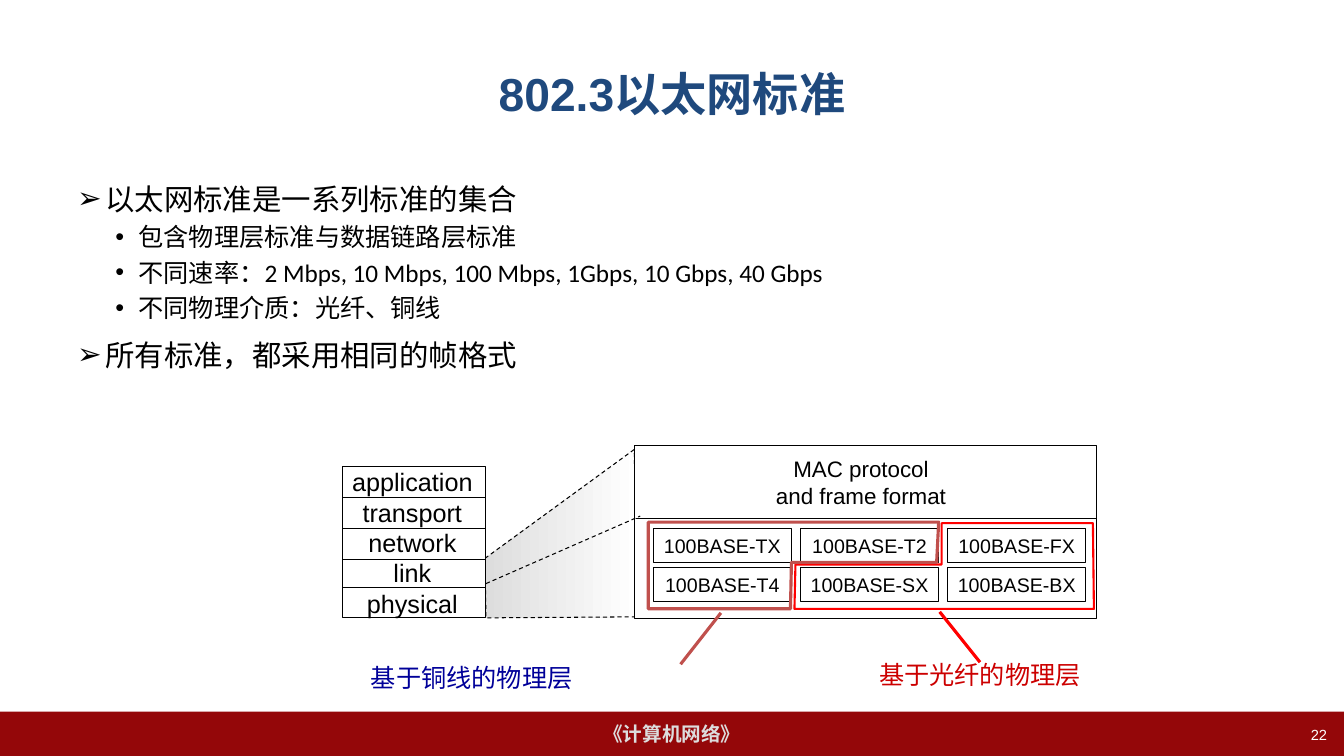
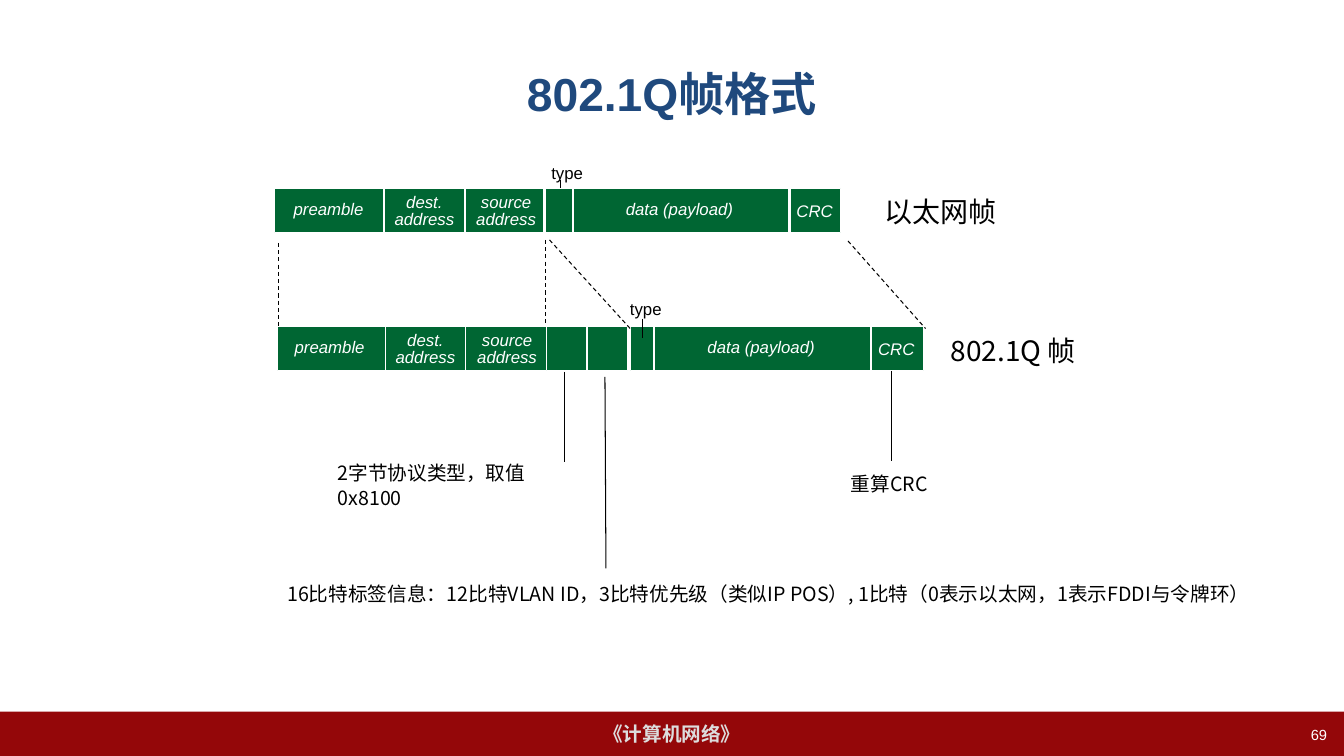
from lxml import etree
from pptx import Presentation
from pptx.dml.color import RGBColor
from pptx.enum.dml import MSO_LINE
from pptx.enum.shapes import MSO_CONNECTOR, MSO_SHAPE
from pptx.enum.text import MSO_ANCHOR, PP_ALIGN
from pptx.oxml.ns import qn
from pptx.util import Inches, Pt

W, H = 13.33, 7.5
LEFT, MID, RIGHT = PP_ALIGN.LEFT, PP_ALIGN.CENTER, PP_ALIGN.RIGHT
CENTER = MSO_ANCHOR.MIDDLE
TOP = MSO_ANCHOR.TOP
DASH = MSO_LINE.DASH
STRAIGHT = MSO_CONNECTOR.STRAIGHT
RECT = MSO_SHAPE.RECTANGLE

LATIN, CJK, BODY = "Arial", "Noto Sans CJK SC", "Calibri"
BLACK, WHITE, NAVY = "000000", "FFFFFF", "1F497D"
WINE, PALE, GREEN = "940709", "DDDDDD", "006633"
BRICK, RED = "C0504D", "FF0000"


def rgb(code):
    return RGBColor.from_string(code)


def write(frame, lines, size=14, font=LATIN, color=BLACK, bold=False,
          italic=False, align=LEFT, anchor=CENTER, pad=0.1, lead=None):
    """Fill a text frame; a line is a string or a list of (text, font) runs."""
    frame.word_wrap = True
    frame.vertical_anchor = anchor
    frame.margin_left = frame.margin_right = Inches(pad)
    frame.margin_top = frame.margin_bottom = Inches(pad / 2)
    for i, line in enumerate([lines] if isinstance(lines, str) else lines):
        para = frame.add_paragraph() if i else frame.paragraphs[0]
        para.alignment = align
        if lead:
            para.line_spacing = Pt(lead)
        for words, face in [(line, font)] if isinstance(line, str) else line:
            run = para.add_run()
            run.text = words
            look = run.font
            look.size, look.bold, look.italic = Pt(size), bold, italic
            look.color.rgb, look.name = rgb(color), face
            east = etree.SubElement(run._r.get_or_add_rPr(), qn("a:ea"))
            east.set("typeface", CJK)


def label(slide, box, lines, **style):
    shape = slide.shapes.add_textbox(*map(Inches, box))
    write(shape.text_frame, lines, **style)
    return shape


def stroke(shape, color, width, dash=None):
    shape.line.color.rgb = rgb(color)
    shape.line.width = Pt(width)
    if dash:
        shape.line.dash_style = dash


def block(slide, box, lines="", fill=WHITE, edge=BLACK, width=0.75, **style):
    """Draw a rectangle with centred text."""
    shape = slide.shapes.add_shape(RECT, *map(Inches, box))
    shape.shadow.inherit = False
    if fill:
        shape.fill.solid()
        shape.fill.fore_color.rgb = rgb(fill)
    else:
        shape.fill.background()
    if edge:
        stroke(shape, edge, width)
    else:
        shape.line.fill.background()
    if lines:
        write(shape.text_frame, lines, align=MID, pad=0, **style)


def wire(slide, start, end, color=BLACK, width=0.75, dash=None):
    line = slide.shapes.add_connector(
        STRAIGHT, *map(Inches, (*start, *end)))
    stroke(line, color, width, dash)
    etree.SubElement(line._element.spPr, qn("a:effectLst"))


def outline(slide, points, color, width, dash=None):
    """Draw a closed polygon without fill."""
    spots = [(Inches(x), Inches(y)) for x, y in points]
    pen = slide.shapes.build_freeform(*spots[0])
    pen.add_line_segments(spots[1:], close=True)
    shape = pen.convert_to_shape()
    shape.shadow.inherit = False
    shape.fill.background()
    stroke(shape, color, width, dash)
    return shape


def page(deck, title, number):
    """Add a slide with the shared title, band and page number."""
    slide = deck.slides.add_slide(deck.slide_layouts[5])
    head = slide.shapes.title
    head.left, head.top = Inches(0.05 * W), Inches(0.04 * H)
    head.width, head.height = Inches(0.9 * W), Inches(1.25)
    write(head.text_frame, title, size=33, color=NAVY, bold=True, align=MID)
    top = H - 0.44
    block(slide, (0, top, W, 0.44), "《计算机网络》", fill=WINE, edge=None,
          color=PALE, bold=True)
    label(slide, (W - 3.18, top + 0.09, 3.11, 0.28), number, size=10.5,
          color=WHITE, align=RIGHT)
    return slide


def points(slide, box, items):
    """Place a bulleted list of (level, line) items."""
    marks = [("➢", 0.28, 0.28, 21, 25, 10.5), ("•", 0.61, 0.23, 18, 22, 3.3)]
    frame = label(slide, box, [line for _, line in items],
                  anchor=TOP).text_frame
    for i, (para, (level, _)) in enumerate(zip(frame.paragraphs, items)):
        mark, left, hang, size, lead, gap = marks[level]
        props = para._p.get_or_add_pPr()
        props.set("marL", str(Inches(left)))
        props.set("indent", str(-Inches(hang)))
        etree.SubElement(props, qn("a:buFont")).set("typeface", LATIN)
        etree.SubElement(props, qn("a:buChar")).set("char", mark)
        para.level = level
        para.line_spacing = Pt(lead)
        if i:
            para.space_before = Pt(gap)
        for run in para.runs:
            run.font.size = Pt(size)


def stack(slide, x, y, names, width=1.42, height=1.5):
    """Draw the protocol layers as one box with dividers."""
    block(slide, (x, y, width, height))
    label(slide, (x - 0.01, y - 0.05, 1.4, 1.6), names, size=18, align=MID,
          pad=0, lead=21.7)
    for cut in (0.31, 0.61, 0.92, 1.2):
        wire(slide, (x, y + cut), (x + width, y + cut))
    for side in (x, x + width):
        wire(slide, (side, y + 1.27), (side, y + 1.46), dash=DASH)


def fan(slide, x, y):
    """Shade the zoom from the lower layers to the detail box."""
    shape = outline(slide, [(x + 1.48, y), (x, y + 1.08), (x + 0.01, y + 1.67),
                            (x + 1.52, y + 1.66)], BLACK, 0.75, DASH)
    shape.fill.gradient()
    shape.fill.gradient_angle = 0
    for stop, color, place in zip(shape.fill.gradient_stops,
                                  (PALE, WHITE), (0, 1)):
        stop.color.rgb = rgb(color)
        stop.position = place


def detail(slide, x, y, width=4.59):
    """Draw the MAC box over the grid of physical layers."""
    block(slide, (x, y, width, 1.72))
    wire(slide, (x + 0.02, y + 0.72), (x + width, y + 0.72))
    label(slide, (x + 1.3, y + 0.04, 1.9, 0.64),
          ["MAC protocol", "and frame format"], size=16, align=MID, pad=0)
    wire(slide, (x - 1.47, y + 1.37), (x + 0.06, y + 0.7), dash=DASH)
    kinds = ["TX", "T2", "FX", "T4", "SX", "BX"]
    for i, kind in enumerate(kinds):
        row, col = divmod(i, 3)
        block(slide, (x + 0.19 + col * 1.46, y + 0.82 + row * 0.39, 1.37, 0.34),
              "100BASE-" + kind, fill=None)
    top, low = y + 0.77, y + 1.62
    outline(slide, [(x + 3.05, top), (x + 3.05, y + 1.18), (x + 1.6, y + 1.18),
                    (x + 1.59, low), (x + 4.56, low), (x + 4.55, top)],
            RED, 1.5)
    outline(slide, [(x + 3.02, y + 0.76), (x + 3, y + 1.16),
                    (x + 1.56, y + 1.16), (x + 1.55, low), (x + 0.14, low),
                    (x + 0.14, y + 0.76)], BRICK, 2.25)
    wire(slide, (x + 3.03, y + 1.65), (x + 3.43, y + 2.15), RED, 2.25)
    wire(slide, (x + 0.86, y + 1.66), (x + 0.46, y + 2.17), BRICK, 2.25)
    label(slide, (x + 2.33, y + 2.07, 2.4, 0.4), "基于光纤的物理层",
          size=18, font=CJK, color="CC0000")
    label(slide, (x - 2.71, y + 2.1, 4.42, 0.4), "基于铜线的物理层",
          size=18, font=CJK, color="000099")


def fields(slide, x, y, width, cuts, names=(), thick=1.5):
    """Draw a bar with dividers at cuts and (text, left, top, width) names."""
    block(slide, (x, y, width, 0.44), fill=GREEN, edge=WHITE)
    for cut in cuts:
        wire(slide, (x + cut, y - 0.01), (x + cut, y + 0.46), WHITE, thick)
    for text, left, top, span in names:
        tall = 0.27 if isinstance(text, str) else 0.44
        label(slide, (x + left, y + top, span, tall), text, size=12,
              color=WHITE, italic=True, align=MID, pad=0, lead=12)


def standards(deck):
    slide = page(deck, "802.3以太网标准", "22")
    points(slide, (0.05 * W, 1.75, 0.9 * W, 4.95), [
        (0, "以太网标准是一系列标准的集合"),
        (1, "包含物理层标准与数据链路层标准"),
        (1, [("不同速率：", LATIN),
             ("2 Mbps, 10 Mbps, 100 Mbps, 1Gbps, 10 Gbps, 40 Gbps", BODY)]),
        (1, "不同物理介质：光纤、铜线"),
        (0, "所有标准，都采用相同的帧格式")])
    fan(slide, 4.81, 4.46)
    stack(slide, 3.4, 4.63,
          ["application", "transport", "network", "link", "physical"])
    detail(slide, 6.29, 4.42)


def frames(deck):
    slide = page(deck, "802.1Q帧格式", "69")
    dest, source = ["dest.", "address"], ["source", "address"]
    data, check = "data (payload)", "CRC"
    old, new = 1.87, 3.24
    for x, y in [(5.37, 1.56), (6.15, 2.91)]:
        label(slide, (x, y, 0.7, 0.3), "type", size=12)
    wire(slide, (5.56, 1.79), (5.56, 1.98))
    fields(slide, 2.72, old, 5.62, [1.09, 1.89, 2.68, 2.96, 5.11],
           [("preamble", 0.09, 0.08, 0.9), (dest, 1.09, 0.01, 0.8),
            (source, 1.9, 0.01, 0.8), (data, 3.37, 0.08, 1.3),
            (check, 5.08, 0.1, 0.56)])
    fields(slide, 2.75, new, 2.68, [1.07, 1.87], thick=0.75,
           names=[("preamble", 0.07, 0.08, 0.9), (dest, 1.07, 0.01, 0.8),
                  (source, 1.88, 0.01, 0.8)])
    fields(slide, 6.25, new, 2.91, [0.24, 2.39],
           [(data, 0.65, 0.08, 1.3), (check, 2.36, 0.1, 0.56)])
    fields(slide, 5.42, new, 0.8, [0.4])

    for start, end in [((2.76, 2.41), (2.76, 3.25)),
                       ((5.41, 2.38), (5.41, 3.22)),
                       ((5.45, 2.38), (6.26, 3.27)),
                       ((8.41, 2.39), (9.18, 3.26))]:
        wire(slide, start, end, dash=DASH)
    for start, end in [((6.37, 3.16), (6.37, 3.35)),
                       ((5.6, 3.69), (5.6, 4.58)),
                       ((6, 3.74), (6.01, 5.64)),
                       ((8.84, 3.68), (8.84, 4.57))]:
        wire(slide, start, end)

    for box, name in [((8.67, 1.88, 1.5, 0.44), "以太网帧"),
                      ((9.33, 3.26, 1.8, 0.44), "802.1Q 帧")]:
        label(slide, box, name, size=20, font=CJK)
    for box, note in [
            ((3.25, 4.64, 2.4, 0.34), "2字节协议类型，取值0x8100"),
            ((8.34, 4.63, 1.3, 0.34), "重算CRC"),
            ((2.75, 5.72, 10.16, 0.34),
             "16比特标签信息：12比特VLAN ID，3比特优先级（类似IP POS）, "
             "1比特（0表示以太网，1表示FDDI与令牌环）")]:
        label(slide, box, note, font=CJK, lead=17.3)


def main():
    deck = Presentation()
    deck.slide_width, deck.slide_height = Inches(W), Inches(H)
    standards(deck)
    frames(deck)
    deck.save("out.pptx")


if __name__ == "__main__":
    main()
